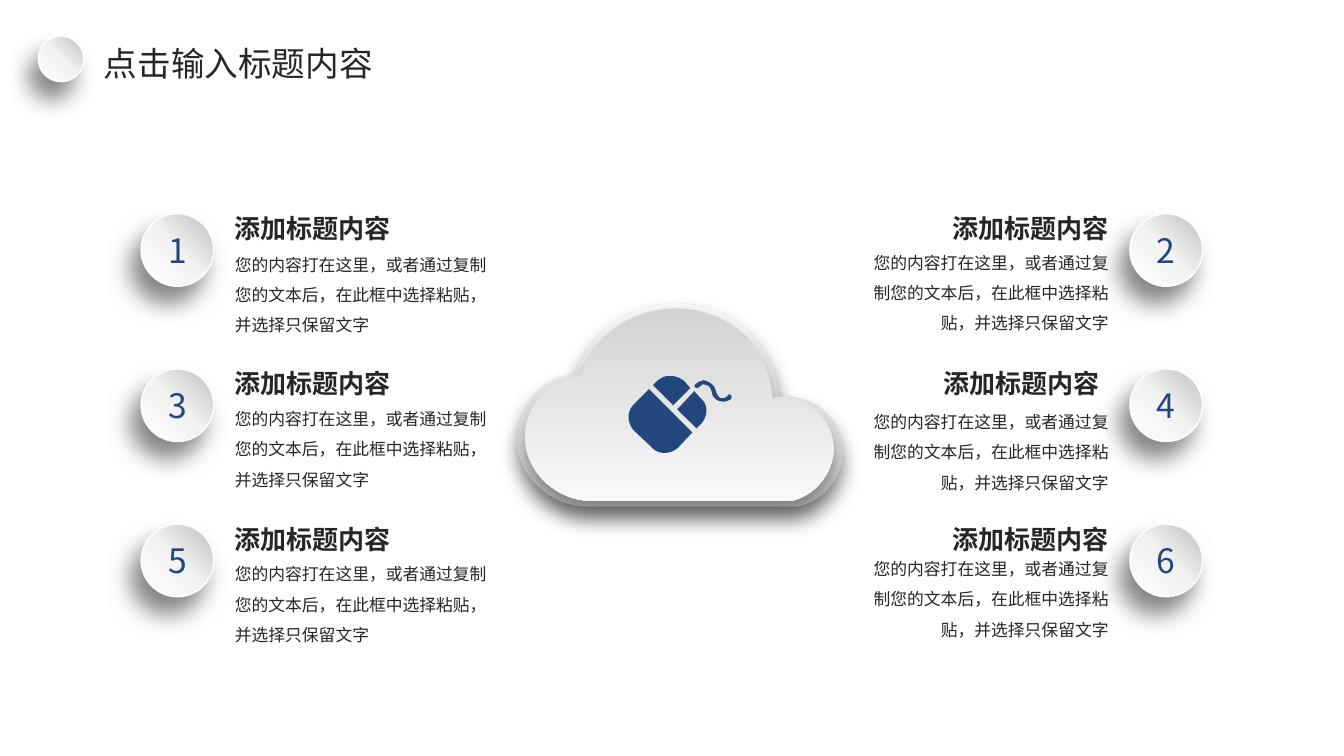
from dataclasses import dataclass

from lxml import etree
from pptx import Presentation
from pptx.dml.color import RGBColor
from pptx.enum import shapes, text
from pptx.oxml import parse_xml
from pptx.oxml.ns import nsdecls, qn
from pptx.util import Pt

FONT = "Noto Sans CJK SC"
INK, BLUE, WHITE = "262626", "22477D", "FFFFFF"
HEADING = "添加标题内容"
BODY = "您的内容打在这里，或者通过复制您的文本后，在此框中选择粘贴，并选择只保留文字"
LEFT, CENTER, RIGHT = text.PP_ALIGN.LEFT, text.PP_ALIGN.CENTER, text.PP_ALIGN.RIGHT

BALL, BALL_TOP, ROW_STEP = 51.84, 152.64, 110.88
LEFT_BALL, RIGHT_BALL = 100.8, 807.1
GAP = 15.1
HEADING_W, HEADING_H, BODY_H = 149, 14.4, 56.9
BALL_STOPS = [(0, "BFBFBF"), (50, "F2F2F2"), (100, WHITE)]
CLOUD_STOPS = [(0, "D3D3D3"), (100, "F9F9F9")]

# An outline starts at its first pair; pairs are line ends, sixes are Bézier curves.
Outline = list[tuple[float, ...]]
CLOUD: Outline = [
    (41.8, 50.4), (51.1, 20.9, 80.6, 0, 113.8, 0), (154.1, 0, 184.3, 29.5, 186.5, 67.7),
    (188.6, 67.7, 190.8, 67, 193, 67), (214.6, 67, 232.6, 85, 232.6, 105.8),
    (232.6, 123.8, 218.9, 141.1, 200.9, 145.1), (49.7, 145.1),
    (23.8, 145.1, 0, 123.1, 0, 97.2), (0, 72.7, 18, 53.3, 41.8, 50.4),
]
LEFT_BUTTON: Outline = [
    (29.5, 0), (28, 0, 27.4, 0.5, 25.9, 0.7), (25.2, 1.4, 23, 2.2, 21.6, 3.6),
    (18.7, 6.5), (33.1, 20.9), (45.4, 8.6), (41, 3.6), (38.2, 1.4, 34.6, 0, 31.7, 0),
]
MOUSE_BODY: Outline = [
    (15.8, 9.4), (5, 20.2), (0, 25.2, 0, 33.1, 5, 38.9), (18, 51.1),
    (22.3, 56.2, 31, 56.2, 36.7, 51.1), (46.8, 40.3),
]
RIGHT_BUTTON: Outline = [
    (48.2, 10.8), (36, 23.8), (49.7, 37.4), (52.6, 34.6),
    (58.3, 28.8, 58.3, 20.2, 52.6, 15.8),
]
CABLE: Outline = [
    (53.3, 3.6), (52, 3.6, 50, 5, 49, 5.8), (48.2, 7.2), (49, 8.2), (50.4, 8.6),
    (51.8, 7.9), (53.3, 6.5), (54, 5.8, 55.4, 5.8, 56.2, 6.5),
    (58.3, 6.5, 59.8, 7.9, 60.5, 10.8), (61.2, 15.1, 63.4, 17.3, 67, 18),
    (69.1, 18.7, 72, 18, 74.2, 16.6), (74.9, 15.1), (74.2, 13.7), (73.4, 13), (72, 14),
    (70.6, 15.8, 69.1, 15.8, 67, 15.8), (65.5, 15.1, 64.1, 13, 63.4, 10.1),
    (62.6, 6.5, 59, 4.3, 56.9, 3.6), (54.7, 2.9),
]


@dataclass
class Item:
    number: int
    body_top: float
    heading_shift: float = 0


@dataclass
class Shadow:
    color: str
    opacity: int
    blur: float
    distance: float
    angle: int


@dataclass
class Cloud:
    left: float
    top: float
    scale: float
    angle: int


ITEMS = [
    Item(1, 178.56), Item(3, 288.72), Item(5, 399.6),
    Item(2, 177.12), Item(4, 290.88, -6.5), Item(6, 396),
]
BALL_SHADOW = Shadow("0D0D0D", 50, 17, 14, 120)
CLOUD_SHADOW = Shadow("000000", 40, 15, 9, 90)
CLOUDS = [Cloud(369.4, 216.7, 1, 270), Cloud(375.1, 220.3, 0.947, 90)]


def rgb(value: str) -> RGBColor:
    return RGBColor.from_string(value)


def write(sp, words: str, size: float, color: str = INK, align=LEFT, bold: bool = False,
          spacing: float = 1, insets: tuple = (0, 0, 0, 0)) -> None:
    tf = sp.text_frame
    tf.text = words
    tf.word_wrap = True
    tf.auto_size = text.MSO_AUTO_SIZE.NONE
    tf.vertical_anchor = text.MSO_ANCHOR.MIDDLE
    tf.margin_left, tf.margin_top, tf.margin_right, tf.margin_bottom = map(Pt, insets)
    p = tf.paragraphs[0]
    p.alignment, p.line_spacing, p.space_before = align, spacing, Pt(0)
    font = p.font
    font.name, font.size, font.bold = FONT, Pt(size), bold
    font.color.rgb = rgb(color)
    east_asian = etree.SubElement(p._p.pPr.find(qn("a:defRPr")), qn("a:ea"))
    east_asian.set("typeface", FONT)


def shade(sp, stops: list[tuple[int, str]], angle: int, shadow: Shadow) -> None:
    """Give a shape a linear gradient and an outer shadow."""
    marks = "".join(f'<a:gs pos="{pos * 1000}"><a:srgbClr val="{color}"/></a:gs>'
                    for pos, color in stops)
    sp._element.spPr.insert(2, parse_xml(
        f'<a:gradFill {nsdecls("a")} rotWithShape="1"><a:gsLst>{marks}</a:gsLst>'
        f'<a:lin ang="{angle * 60000}" scaled="0"/></a:gradFill>'))
    sp.shadow.inherit = False
    sp._element.spPr.find(qn("a:effectLst")).append(parse_xml(
        f'<a:outerShdw {nsdecls("a")} blurRad="{Pt(shadow.blur)}" '
        f'dist="{Pt(shadow.distance)}" dir="{shadow.angle * 60000}" algn="ctr" '
        f'rotWithShape="0"><a:srgbClr val="{shadow.color}">'
        f'<a:alpha val="{shadow.opacity * 1000}"/></a:srgbClr></a:outerShdw>'))


def add_ball(s, left: float, top: float, size: float):
    sp = s.shapes.add_shape(shapes.MSO_SHAPE.OVAL, Pt(left), Pt(top), Pt(size), Pt(size))
    sp.line.color.rgb = rgb(WHITE)
    sp.line.width = Pt(1)
    shade(sp, BALL_STOPS, 135, BALL_SHADOW)
    return sp


def flatten(outline: Outline, steps: int = 16) -> list[tuple[float, float]]:
    """Turn an outline into points along its lines and curves."""
    points = [outline[0]]
    for part in outline[1:]:
        if len(part) == 2:
            points.append(part)
            continue
        x0, y0 = points[-1]
        x1, y1, x2, y2, x3, y3 = part
        for i in range(1, steps + 1):
            t = i / steps
            a, b, c, d = (1 - t) ** 3, 3 * t * (1 - t) ** 2, 3 * t * t * (1 - t), t ** 3
            points.append((a * x0 + b * x1 + c * x2 + d * x3,
                           a * y0 + b * y1 + c * y2 + d * y3))
    return points


def add_outlines(s, outlines: list[Outline], left: float, top: float, scale: float = 1):
    contours = [[(Pt(left + x * scale), Pt(top + y * scale)) for x, y in flatten(o)]
                for o in outlines]
    builder = s.shapes.build_freeform(*contours[0][0])
    for i, contour in enumerate(contours):
        if i:
            builder.move_to(*contour[0])
        builder.add_line_segments(contour[1:], close=True)
    sp = builder.convert_to_shape()
    sp.line.fill.background()
    return sp


def add_item(s, item: Item) -> None:
    on_left = item.number % 2 == 1
    top = BALL_TOP + (item.number - 1) // 2 * ROW_STEP
    ball = add_ball(s, LEFT_BALL if on_left else RIGHT_BALL, top, BALL)
    write(ball, str(item.number), 24, BLUE, CENTER)

    body_w = 203.8 if on_left else 193
    align = LEFT if on_left else RIGHT
    insets = (GAP, 0, 0, 0) if on_left else (0, 0, GAP, 0)
    for words, size, bold, y, w, h, shift in (
            (HEADING, 18.6, True, top - 2.4, HEADING_W, HEADING_H, item.heading_shift),
            (BODY, 12, False, item.body_top, body_w, BODY_H, 0)):
        x = LEFT_BALL + BALL if on_left else RIGHT_BALL - w + shift
        box = s.shapes.add_textbox(Pt(x), Pt(y), Pt(w), Pt(h))
        write(box, words, size, align=align, bold=bold, spacing=1.5, insets=insets)


def main() -> None:
    prs = Presentation()
    prs.slide_width, prs.slide_height = Pt(960), Pt(540)
    s = prs.slides.add_slide(prs.slide_layouts[5])
    title = s.shapes.title
    title.left, title.top, title.width, title.height = map(Pt, (74.2, 25.2, 223.2, 39.6))
    write(title, "点击输入标题内容", 24, insets=(0, 3.6, 0, 3.6))
    add_ball(s, 27.4, 25.9, 32.4)
    for item in ITEMS:
        add_item(s, item)
    for cloud in CLOUDS:
        sp = add_outlines(s, [CLOUD], cloud.left, cloud.top, cloud.scale)
        shade(sp, CLOUD_STOPS, cloud.angle, CLOUD_SHADOW)
    mouse = add_outlines(s, [LEFT_BUTTON, MOUSE_BODY, CABLE, RIGHT_BUTTON], 447.8, 268.6)
    mouse.fill.solid()
    mouse.fill.fore_color.rgb = rgb(BLUE)
    mouse.shadow.inherit = False
    prs.save("out.pptx")


if __name__ == "__main__":
    main()
